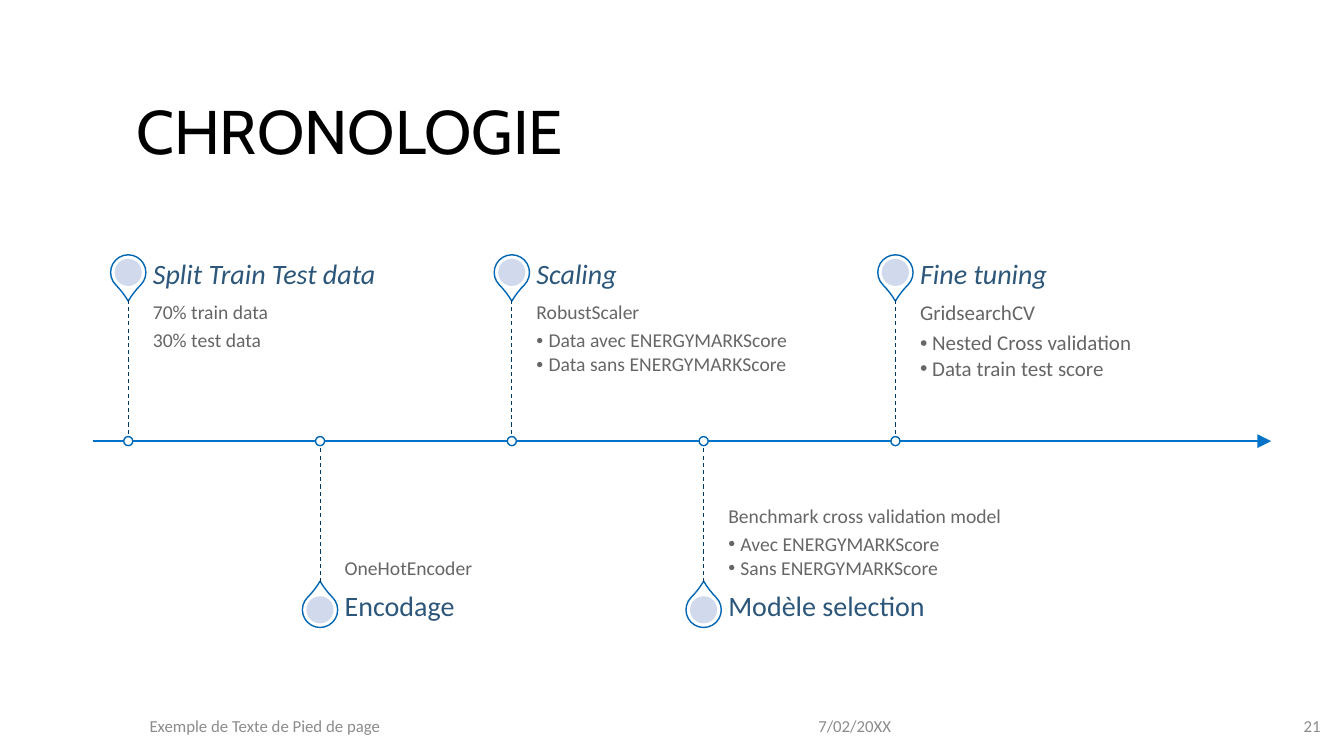
from dataclasses import dataclass
from typing import Any

from lxml import etree
from pptx import Presentation
from pptx.dml.color import RGBColor
from pptx.enum.dml import MSO_LINE
from pptx.enum.shapes import MSO_CONNECTOR, MSO_SHAPE
from pptx.enum.text import MSO_ANCHOR, MSO_AUTO_SIZE, PP_ALIGN
from pptx.oxml.ns import qn
from pptx.util import Pt

TOP, MIDDLE, BOTTOM = MSO_ANCHOR.TOP, MSO_ANCHOR.MIDDLE, MSO_ANCHOR.BOTTOM
LEFT, CENTER, RIGHT = PP_ALIGN.LEFT, PP_ALIGN.CENTER, PP_ALIGN.RIGHT
ELLIPSE, TEARDROP = MSO_SHAPE.OVAL, MSO_SHAPE.TEAR
STRAIGHT, DASH = MSO_CONNECTOR.STRAIGHT, MSO_LINE.DASH
NO_AUTOFIT = MSO_AUTO_SIZE.NONE

WHITE, BLACK = "FFFFFF", "000000"
AXIS_BLUE, PIN_BLUE, STEM_BLUE = "0072C7", "0067B5", "003964"
DOT_BLUE, HEADING_BLUE = "CCD5EB", "2C567A"
BODY_GREY, FOOTER_GREY = "666666", "8C8C8C"

AXIS_Y, AXIS_START, AXIS_END = 315.1, 66.2, 908
FIRST_X, STEP = 91.6, 137
STEM, PIN_REACH = 101, 120.5
PIN_SIZE, DOT_SIZE, KNOT_SIZE = 25.2, 19.4, 6.5
TEXT_GAP, TEXT_WIDTH, HEADING_HEIGHT = 17.6, 231, 35.3
BULLET_INDENT = 8.64


@dataclass
class Milestone:
    heading: str
    lines: list[str]
    bullets: list[str]
    size: float = 14


@dataclass
class Footer:
    text: str
    left: float
    width: float
    align: Any


MILESTONES = [
    Milestone("Split Train Test data", ["70% train data", "30% test data"], []),
    Milestone("Encodage", ["OneHotEncoder"], []),
    Milestone("Scaling", ["RobustScaler"],
              ["Data avec ENERGYMARKScore", "Data sans ENERGYMARKScore"]),
    Milestone("Modèle selection", ["Benchmark cross validation model"],
              ["Avec ENERGYMARKScore", "Sans ENERGYMARKScore"]),
    Milestone("Fine tuning", ["GridsearchCV"],
              ["Nested Cross validation", "Data train test score"], 15),
]
FOOTERS = [
    Footer("Exemple de Texte de Pied de page", 12.2, 354.2, CENTER),
    Footer("7/02/20XX", 577.4, 330.5, LEFT),
    Footer("21", 913.7, 36.7, RIGHT),
]


def rgb(value: str) -> RGBColor:
    return RGBColor.from_string(value)


def apply(target: Any, values: dict[str, Any]) -> None:
    for name, value in values.items():
        setattr(target, name, value)


def write(paragraph: Any, text: str, size: float, color: str,
          font: str = "Calibri", italic: bool = False) -> None:
    run = paragraph.add_run()
    run.text = text
    apply(run.font, {"name": font, "size": Pt(size), "italic": italic})
    run.font.color.rgb = rgb(color)


def add_frame(slide: Any, left: float, top: float, width: float, height: float,
              anchor: Any, side: float = 0, edge: float = 0) -> Any:
    """Add a wrapping text box with the given insets and return its text frame."""
    box = slide.shapes.add_textbox(Pt(left), Pt(top), Pt(width), Pt(height))
    apply(box.text_frame, {
        "word_wrap": True, "vertical_anchor": anchor,
        "margin_left": Pt(side), "margin_right": Pt(side),
        "margin_top": Pt(edge), "margin_bottom": Pt(edge),
    })
    return box.text_frame


def add_line(slide: Any, start: tuple[float, float], end: tuple[float, float],
             color: str, width: float) -> Any:
    line = slide.shapes.add_connector(STRAIGHT, *map(Pt, start + end))
    line.line.color.rgb = rgb(color)
    line.line.width = Pt(width)
    etree.SubElement(line._element.spPr, qn("a:effectLst"))
    return line


def add_centred(slide: Any, kind: Any, x: float, y: float, size: float,
                fill: str, outline: str | None = None) -> Any:
    """Add a square-bounded shape centred on x, y."""
    shape = slide.shapes.add_shape(
        kind, Pt(x - size / 2), Pt(y - size / 2), Pt(size), Pt(size))
    shape.shadow.inherit = False
    shape.fill.solid()
    shape.fill.fore_color.rgb = rgb(fill)
    if outline:
        shape.line.color.rgb = rgb(outline)
        shape.line.width = Pt(1)
    else:
        shape.line.fill.background()
    return shape


def add_bullet(paragraph: Any) -> None:
    properties = paragraph._p.get_or_add_pPr()
    properties.set("marL", str(Pt(BULLET_INDENT)))
    properties.set("indent", str(-Pt(BULLET_INDENT)))
    etree.SubElement(properties, qn("a:buFont"), typeface="Arial")
    etree.SubElement(properties, qn("a:buChar"), char="•")


def add_details(frame: Any, milestone: Milestone) -> None:
    entries = [(line, False) for line in milestone.lines]
    entries += [(bullet, True) for bullet in milestone.bullets]
    for index, (text, bulleted) in enumerate(entries):
        paragraph = frame.add_paragraph() if index else frame.paragraphs[0]
        share = 0.15 if bulleted else 0.35
        apply(paragraph, {"line_spacing": 0.9, "level": int(bulleted),
                          "space_after": Pt(share * milestone.size)})
        if bulleted:
            add_bullet(paragraph)
        write(paragraph, text, milestone.size, BODY_GREY)


def add_milestone(slide: Any, index: int, milestone: Milestone) -> None:
    """Draw one milestone; even ones stand above the axis, odd ones below."""
    above = index % 2 == 0
    side = -1 if above else 1
    x = FIRST_X + index * STEP
    tip_y, pin_y = AXIS_Y + side * STEM, AXIS_Y + side * PIN_REACH

    pin = add_centred(slide, TEARDROP, x, pin_y, PIN_SIZE, WHITE, PIN_BLUE)
    pin.adjustments[0] = 1.15
    pin.rotation = 135 if above else 315
    dot = add_centred(slide, ELLIPSE, x, pin_y, DOT_SIZE, DOT_BLUE)
    dot_color = dot._element.spPr.find(f"{qn('a:solidFill')}/{qn('a:srgbClr')}")
    etree.SubElement(dot_color, qn("a:alpha"), val="90000")

    text_x = x + TEXT_GAP
    details = add_frame(slide, text_x, min(tip_y, AXIS_Y), TEXT_WIDTH, STEM,
                        TOP if above else BOTTOM, edge=2.16)
    add_details(details, milestone)
    heading_top = tip_y - HEADING_HEIGHT if above else tip_y
    heading = add_frame(slide, text_x, heading_top, TEXT_WIDTH,
                        HEADING_HEIGHT, MIDDLE).paragraphs[0]
    apply(heading, {"line_spacing": 0.9, "space_after": Pt(7)})
    write(heading, milestone.heading, 20, HEADING_BLUE, italic=above)

    stem = add_line(slide, (x, min(tip_y, AXIS_Y)), (x, max(tip_y, AXIS_Y)),
                    STEM_BLUE, 0.75)
    stem.line.dash_style = DASH
    add_centred(slide, ELLIPSE, x, AXIS_Y, KNOT_SIZE, WHITE, PIN_BLUE)


def add_title(slide: Any) -> None:
    title = slide.shapes.title
    apply(title, {"left": Pt(90), "top": Pt(41.8),
                  "width": Pt(779.8), "height": Pt(108.7)})
    apply(title.text_frame, {"vertical_anchor": MIDDLE, "word_wrap": True,
                             "auto_size": NO_AUTOFIT})
    paragraph = title.text_frame.paragraphs[0]
    apply(paragraph, {"alignment": LEFT, "line_spacing": 0.9})
    write(paragraph, "CHRONOLOGIE", 44, BLACK, "Cabin")


def main() -> None:
    deck = Presentation()
    apply(deck, {"slide_width": Pt(960), "slide_height": Pt(540)})
    slide = deck.slides.add_slide(deck.slide_layouts[5])
    add_title(slide)

    axis = add_line(slide, (AXIS_START, AXIS_Y), (AXIS_END, AXIS_Y), AXIS_BLUE, 1)
    etree.SubElement(axis.line._get_or_add_ln(), qn("a:tailEnd"),
                     type="triangle", w="lg", len="lg")
    for index, milestone in enumerate(MILESTONES):
        add_milestone(slide, index, milestone)
    for footer in FOOTERS:
        paragraph = add_frame(slide, footer.left, 504, footer.width, 28.8,
                              MIDDLE, 7.2, 3.6).paragraphs[0]
        paragraph.alignment = footer.align
        write(paragraph, footer.text, 12, FOOTER_GREY)
    deck.save("out.pptx")


if __name__ == "__main__":
    main()
